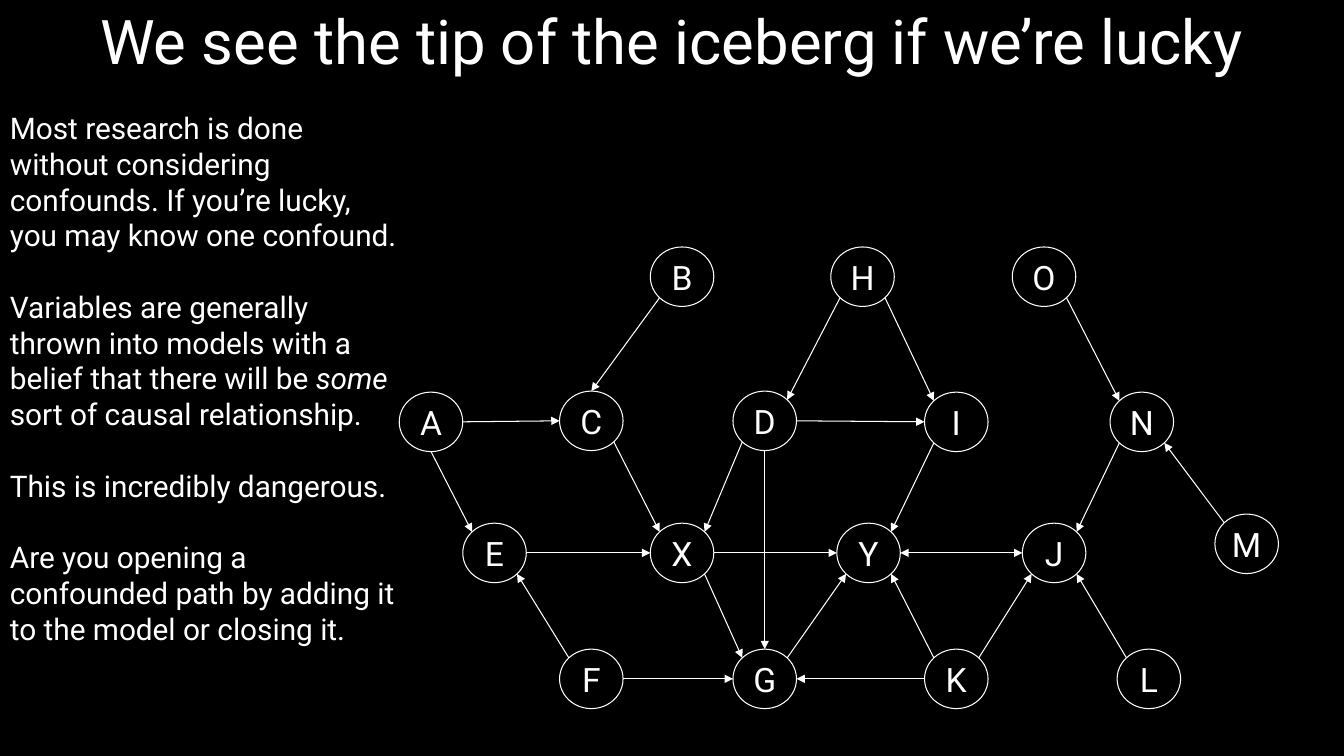
import math

import pptx
import pptx.dml.color
import pptx.enum.shapes
import pptx.enum.text
import pptx.util
from lxml import etree
from pptx.oxml.ns import qn
from pptx.util import Inches

FONT = "Roboto"
WHITE = "FFFFFF"
BLACK = "000000"
NODE_WIDTH, NODE_HEIGHT = 0.63, 0.59

NODES = {
    "B": (2.49, 0), "H": (4.28, 0), "O": (6.08, 0),
    "A": (0, 1.44), "C": (1.59, 1.43), "D": (3.31, 1.43), "I": (5.21, 1.44), "N": (7.05, 1.44),
    "E": (0.63, 2.74), "X": (2.49, 2.74), "Y": (4.34, 2.74), "J": (6.18, 2.74), "M": (8.09, 2.65),
    "F": (1.59, 3.99), "G": (3.31, 3.99), "K": (5.21, 3.99), "L": (7.12, 3.99),
}

SIDES = {side: math.radians(45 * step)
         for step, side in enumerate(["E", "SE", "S", "SW", "W", "NW", "N", "NE"])}

CAUSES = [
    ("A", "E", "C", "W"), ("A", "S", "E", "NW"), ("B", "SW", "C", "N"),
    ("C", "SE", "X", "NW"), ("D", "SW", "X", "NE"), ("D", "S", "G", "N"),
    ("D", "E", "I", "W"), ("H", "SW", "D", "NE"), ("H", "SE", "I", "NW"),
    ("I", "SW", "Y", "NE"), ("O", "SE", "N", "NW"), ("N", "SW", "J", "NE"),
    ("M", "NW", "N", "SE"), ("E", "E", "X", "W"), ("X", "E", "Y", "W"),
    ("X", "SE", "G", "NW"), ("F", "NW", "E", "SE"), ("F", "E", "G", "W"),
    ("G", "NE", "Y", "SW"), ("K", "W", "G", "E"), ("K", "NW", "Y", "SE"),
    ("K", "NE", "J", "SW"), ("L", "NW", "J", "SE"),
]
MUTUAL = ("Y", "E", "J", "W")

ARGUMENT = [
    ["Most research is done without considering confounds. "
     "If you’re lucky, you may know one confound."],
    ["Variables are generally thrown into models with a belief that there will be ",
     "some", " sort of causal relationship."],
    ["This is incredibly dangerous."],
    ["Are you opening a confounded path by adding it to the model or closing it."],
]


def color(hex_string):
    return pptx.dml.color.RGBColor.from_string(hex_string)


def style(font, size):
    font.name = FONT
    font.size = pptx.util.Pt(size)
    font.color.rgb = color(WHITE)


def add_title(slide, left, top, width, height):
    title = slide.shapes.title
    title.left, title.top = Inches(left), Inches(top)
    title.width, title.height = Inches(width), Inches(height)
    frame = title.text_frame
    frame.text = "We see the tip of the iceberg if we’re lucky"
    frame.auto_size = pptx.enum.text.MSO_AUTO_SIZE.NONE
    frame.vertical_anchor = pptx.enum.text.MSO_ANCHOR.TOP
    frame.margin_top = frame.margin_bottom = Inches(0.1)
    heading = frame.paragraphs[0]
    heading.alignment = pptx.enum.text.PP_ALIGN.CENTER
    heading.line_spacing = 0.9
    style(heading.runs[0].font, 44)


def add_argument(slide, left, top, width, height):
    argument = slide.shapes.add_textbox(Inches(left), Inches(top), Inches(width), Inches(height))
    frame = argument.text_frame
    frame.word_wrap = True
    frame.auto_size = pptx.enum.text.MSO_AUTO_SIZE.SHAPE_TO_FIT_TEXT
    for index, phrases in enumerate(ARGUMENT):
        point = frame.add_paragraph() if index else frame.paragraphs[0]
        if index:
            point.space_before = pptx.util.Pt(25.6)
        for phrase in phrases:
            run = point.add_run()
            run.text = phrase
            style(run.font, 21.3)
            if phrase == "some":
                run.font.italic = True


def add_arrow(slide, start, end, heads):
    arrow = slide.shapes.add_connector(
        pptx.enum.shapes.MSO_CONNECTOR.STRAIGHT, *map(Inches, start + end))
    arrow.line.color.rgb = color(WHITE)
    arrow.line.width = pptx.util.Pt(0.75)
    outline = arrow.line._get_or_add_ln()
    for head in heads:
        etree.SubElement(outline, qn(head), type="triangle")
    etree.SubElement(arrow._element.spPr, qn("a:effectLst"))


def add_variable(slide, letter, left, top):
    variable = slide.shapes.add_shape(
        pptx.enum.shapes.MSO_SHAPE.OVAL,
        Inches(left), Inches(top), Inches(NODE_WIDTH), Inches(NODE_HEIGHT))
    variable.shadow.inherit = False
    variable.fill.solid()
    variable.fill.fore_color.rgb = color(BLACK)
    variable.line.color.rgb = color(WHITE)
    variable.line.width = pptx.util.Pt(0.75)
    frame = variable.text_frame
    frame.margin_left = frame.margin_right = frame.margin_top = frame.margin_bottom = 0
    frame.vertical_anchor = pptx.enum.text.MSO_ANCHOR.MIDDLE
    frame.text = letter
    label = frame.paragraphs[0]
    label.alignment = pptx.enum.text.PP_ALIGN.CENTER
    style(label.runs[0].font, 24)


def add_causal_graph(slide, left, top):
    def rim(letter, side):
        x, y = NODES[letter]
        return (left + x + NODE_WIDTH / 2 * (1 + math.cos(SIDES[side])),
                top + y + NODE_HEIGHT / 2 * (1 + math.sin(SIDES[side])))

    for letter, (x, y) in NODES.items():
        add_variable(slide, letter, left + x, top + y)
    for cause, exit_side, effect, entry_side in CAUSES:
        add_arrow(slide, rim(cause, exit_side), rim(effect, entry_side), ["a:tailEnd"])
    add_arrow(slide, rim(*MUTUAL[:2]), rim(*MUTUAL[2:]), ["a:headEnd", "a:tailEnd"])


def main():
    presentation = pptx.Presentation()
    presentation.slide_width = Inches(13.33)
    presentation.slide_height = Inches(7.5)
    slide = presentation.slides.add_slide(presentation.slide_layouts[5])
    slide.background.fill.solid()
    slide.background.fill.fore_color.rgb = color(BLACK)
    add_title(slide, 0, 0.01, 13.33, 1.47)
    add_causal_graph(slide, 3.96, 2.45)
    add_argument(slide, 0, 1.04, 4.11, 5.49)
    presentation.save("out.pptx")


if __name__ == "__main__":
    main()
